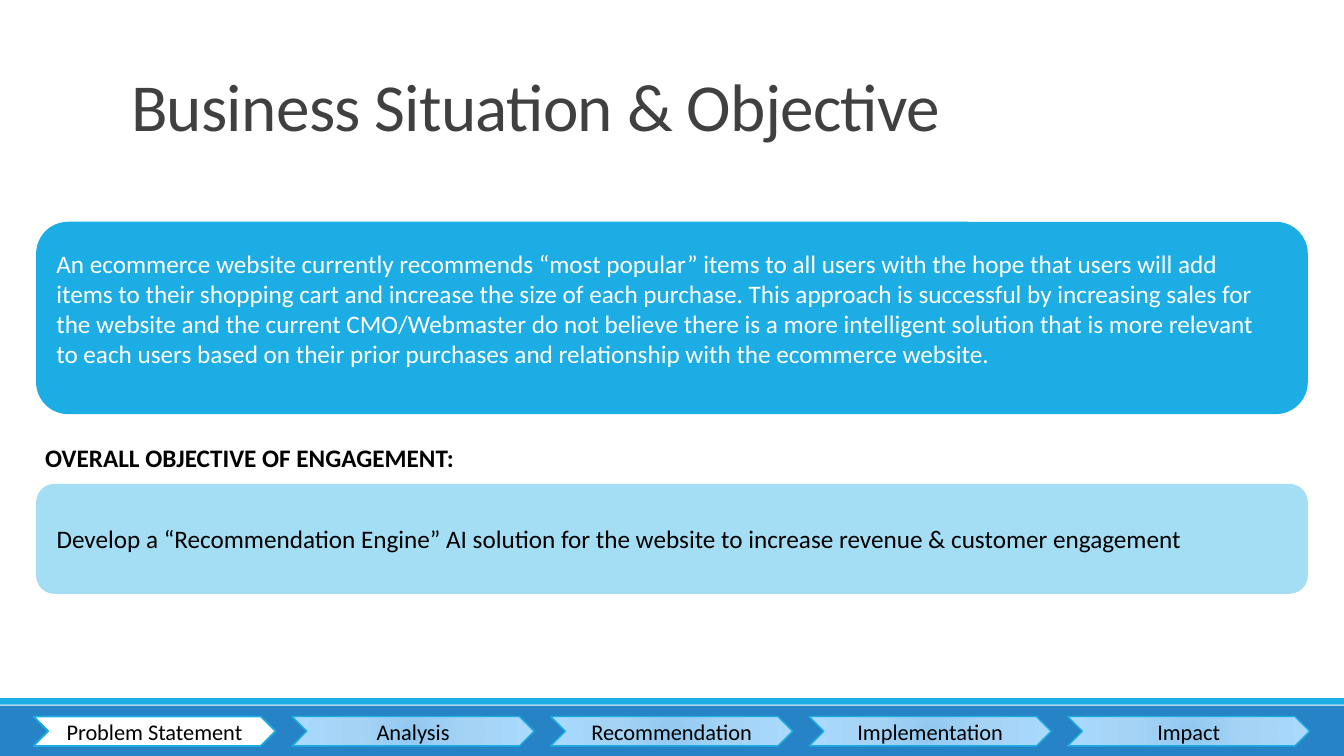
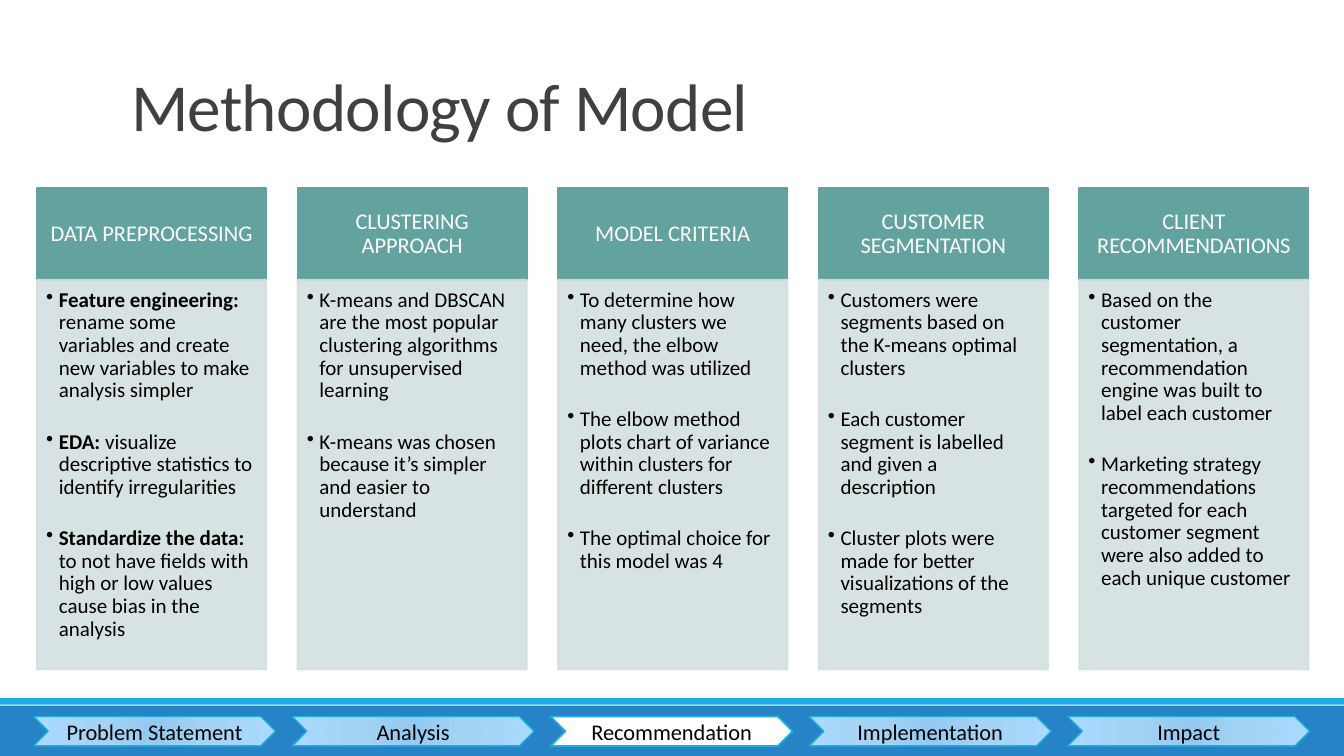
from lxml import etree
from pptx import Presentation, util as u
from pptx.dml.color import RGBColor
from pptx.enum import shapes, text
from pptx.oxml.ns import qn

COLORS = {
    "white": "FFFFFF", "black": "000000", "title": "404040",
    "sky": "1CADE4", "pale sky": "A4DEF4", "band": "2683C6",
    "teal": "62A39F", "mist": "D3E0DF",
}
STEP_GRADIENT = {0: "92C9F0", 45: "A4D3F5", 100: "A9D9FD"}
FONT = "Calibri"
COLUMNS, ROWS = 160, 90
CELL = u.Inches(7.5) // ROWS
STEPS = ["Problem Statement", "Analysis", "Recommendation", "Implementation", "Impact"]
SITUATION = (
    "An ecommerce website currently recommends “most popular” items to all users "
    "with the hope that users will add items to their shopping cart and increase the "
    "size of each purchase. This approach is successful by increasing sales for the "
    "website and the current CMO/Webmaster do not believe there is a more intelligent "
    "solution that is more relevant to each users based on their prior purchases and "
    "relationship with the ecommerce website."
)
OBJECTIVE = (
    "Develop a “Recommendation Engine” AI solution for the website "
    "to increase revenue & customer engagement"
)
METHODOLOGY = {
    "DATA PREPROCESSING": [
        ("Feature engineering: ",
         "rename some variables and create new variables to make analysis simpler"),
        ("EDA: ", "visualize descriptive statistics to identify irregularities"),
        ("Standardize the data: ",
         "to not have fields with high or low values cause bias in the analysis"),
    ],
    "CLUSTERING APPROACH": [
        "K-means and DBSCAN are the most popular clustering algorithms for unsupervised learning",
        "K-means was chosen because it’s simpler and easier to understand",
    ],
    "MODEL CRITERIA": [
        "To determine how many clusters we need, the elbow method was utilized",
        "The elbow method plots chart of variance within clusters for different clusters",
        "The optimal choice for this model was 4",
    ],
    "CUSTOMER SEGMENTATION": [
        "Customers were segments based on the K-means optimal clusters",
        "Each customer segment is labelled and given a description",
        "Cluster plots were made for better visualizations of the segments",
    ],
    "CLIENT RECOMMENDATIONS": [
        "Based on the customer segmentation, a recommendation engine was built to label each customer",
        "Marketing strategy recommendations targeted for each customer segment "
        "were also added to each unique customer",
    ],
}


def cells(count):
    return u.Emu(round(count * CELL))


def rgb(name):
    return RGBColor.from_string(COLORS[name])


def write(shape, paragraphs, size=16, color="black", bold=False, align="LEFT",
          anchor="MIDDLE", insets=(0, 0, 0, 0), spacing=1.0, gap=0, tracking=0, bullet=False):
    frame = shape.text_frame
    frame.word_wrap = True
    frame.auto_size = text.MSO_AUTO_SIZE.NONE
    frame.vertical_anchor = getattr(text.MSO_ANCHOR, anchor)
    frame.margin_left, frame.margin_top, frame.margin_right, frame.margin_bottom = map(cells, insets)
    for index, parts in enumerate(paragraphs):
        para = frame.add_paragraph() if index else frame.paragraphs[0]
        if bullet:
            properties = para._p.get_or_add_pPr()
            properties.set("marL", str(cells(1.5)))
            properties.set("indent", str(cells(-1.5)))
            etree.SubElement(properties, qn("a:buChar"), char="•")
        para.alignment = getattr(text.PP_ALIGN, align)
        para.line_spacing = spacing
        para.space_before = u.Pt(gap if index else 0)
        lead, body = parts if isinstance(parts, tuple) else ("", parts)
        for words, strong in ((lead, True), (body, bold)):
            if words:
                span = para.add_run()
                span.text = words
                span.font.name, span.font.size, span.font.bold = FONT, u.Pt(size), strong
                span.font.color.rgb = rgb(color)
                if tracking:
                    span._r.get_or_add_rPr().set("spc", str(round(tracking * 100)))


class Board:
    """Hold the deck style and the slide being drawn on a grid of square cells."""

    def __init__(self):
        self.deck = Presentation()
        self.deck.slide_width, self.deck.slide_height = cells(COLUMNS), cells(ROWS)
        self.page = None

    def start(self, title, active_step):
        self.page = self.deck.slides.add_slide(self.deck.slide_layouts[5])
        heading = self.page.shapes.title
        heading.left, heading.top, heading.width, heading.height = map(cells, (14.4, 3.7, 132, 19.1))
        write(heading, [title], size=48, color="title", spacing=0.85, tracking=-0.5,
              insets=(1.2, 0.6, 1.2, 0.6))
        self.shape("RECTANGLE", (0, 84, COLUMNS, 6), "band")
        self.shape("RECTANGLE", (0, 83.1, COLUMNS, 0.8), "sky")
        for index, name in enumerate(STEPS):
            self.step(index, name, name == active_step)

    def shape(self, kind, area, fill, line=None, weight=1.25):
        box = self.page.shapes.add_shape(getattr(shapes.MSO_SHAPE, kind), *map(cells, area))
        box.shadow.inherit = False
        box.fill.solid()
        box.fill.fore_color.rgb = rgb(fill)
        if line:
            box.line.color.rgb = rgb(line)
            box.line.width = u.Pt(weight)
        else:
            box.line.fill.background()
        return box

    def step(self, index, name, active):
        area = (4 + index * 30.78, 85.3, 28.8, 3.5)
        box = self.shape("CHEVRON", area, "white", "sky", 1.25 if active else 1)
        if not active:
            self.shade(box)
        write(box, [name], align="CENTER")

    def shade(self, box):
        gradient = etree.Element(qn("a:gradFill"), rotWithShape="1")
        stops = etree.SubElement(gradient, qn("a:gsLst"))
        for position, color in STEP_GRADIENT.items():
            stop = etree.SubElement(stops, qn("a:gs"), pos=str(position * 1000))
            etree.SubElement(stop, qn("a:srgbClr"), val=color)
        circle = etree.SubElement(gradient, qn("a:path"), path="circle")
        etree.SubElement(circle, qn("a:fillToRect"), dict.fromkeys("ltrb", "100000"))
        properties = box._element.spPr
        properties.replace(properties.find(qn("a:solidFill")), gradient)

    def panel(self, area, fill, words, **style):
        box = self.shape("ROUNDED_RECTANGLE", area, fill)
        write(box, [words], size=18, **style)

    def label(self, area, words, **style):
        box = self.page.shapes.add_textbox(*map(cells, area))
        write(box, [words], **style)

    def card(self, index, heading, points):
        left, width = 4.4 + index * 31.02, 27.3
        header = self.shape("RECTANGLE", (left, 22.4, width, 10.9), "teal", "teal")
        write(header, [heading], color="white", align="CENTER", spacing=0.9,
              insets=(1.4, 0.8, 1.4, 0.8))
        body = self.shape("RECTANGLE", (left, 33.3, width, 46.4), "mist", "mist")
        for color in body._element.spPr.iter(qn("a:srgbClr")):
            etree.SubElement(color, qn("a:alpha"), val="90000")
        write(body, points, size=15, anchor="TOP", spacing=0.9, gap=20.3, bullet=True,
              insets=(1.1, 1.1, 1.4, 1.6))


def main():
    board = Board()
    board.start("Business Situation & Objective", "Problem Statement")
    board.panel((4.3, 26.4, 151.4, 22.9), "sky", SITUATION, color="white", anchor="TOP",
                insets=(1.3, 2, 2.2, 0))
    board.label((4.2, 52.1, 60, 4.8), "OVERALL OBJECTIVE OF ENGAGEMENT:", size=18, bold=True,
                insets=(1.2, 0.6, 1.2, 0.6))
    board.panel((4.3, 57.6, 151.4, 13.1), "pale sky", OBJECTIVE, insets=(1.8, 0, 1.2, 0))
    board.start("Methodology of Model", "Recommendation")
    for index, (heading, points) in enumerate(METHODOLOGY.items()):
        board.card(index, heading, points)
    board.deck.save("out.pptx")


if __name__ == "__main__":
    main()
